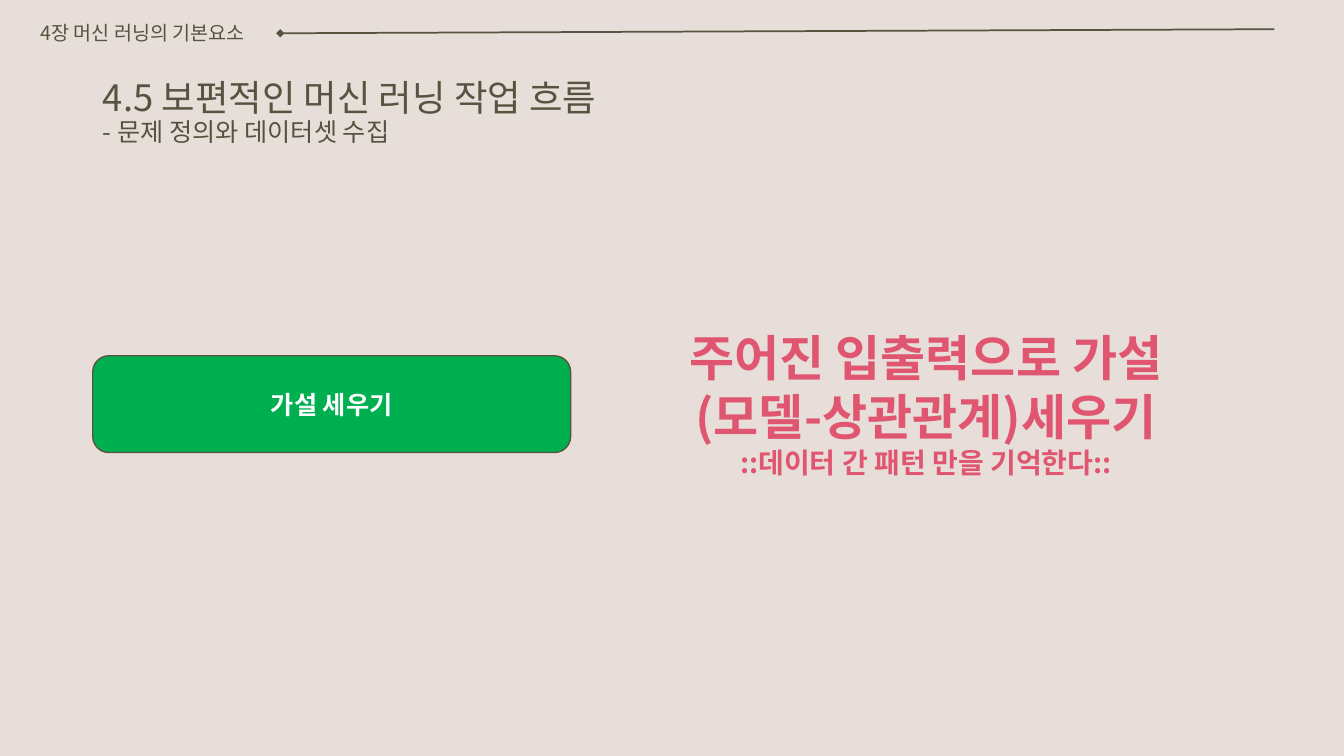
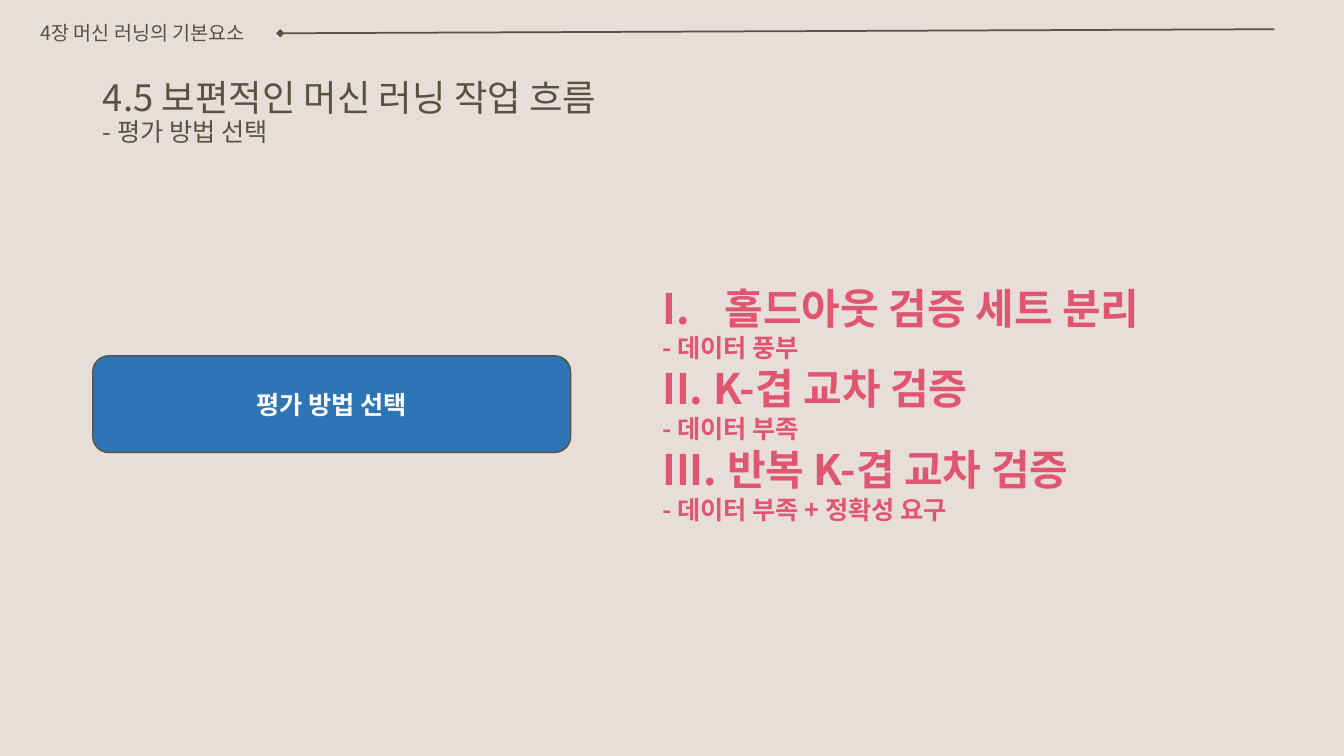
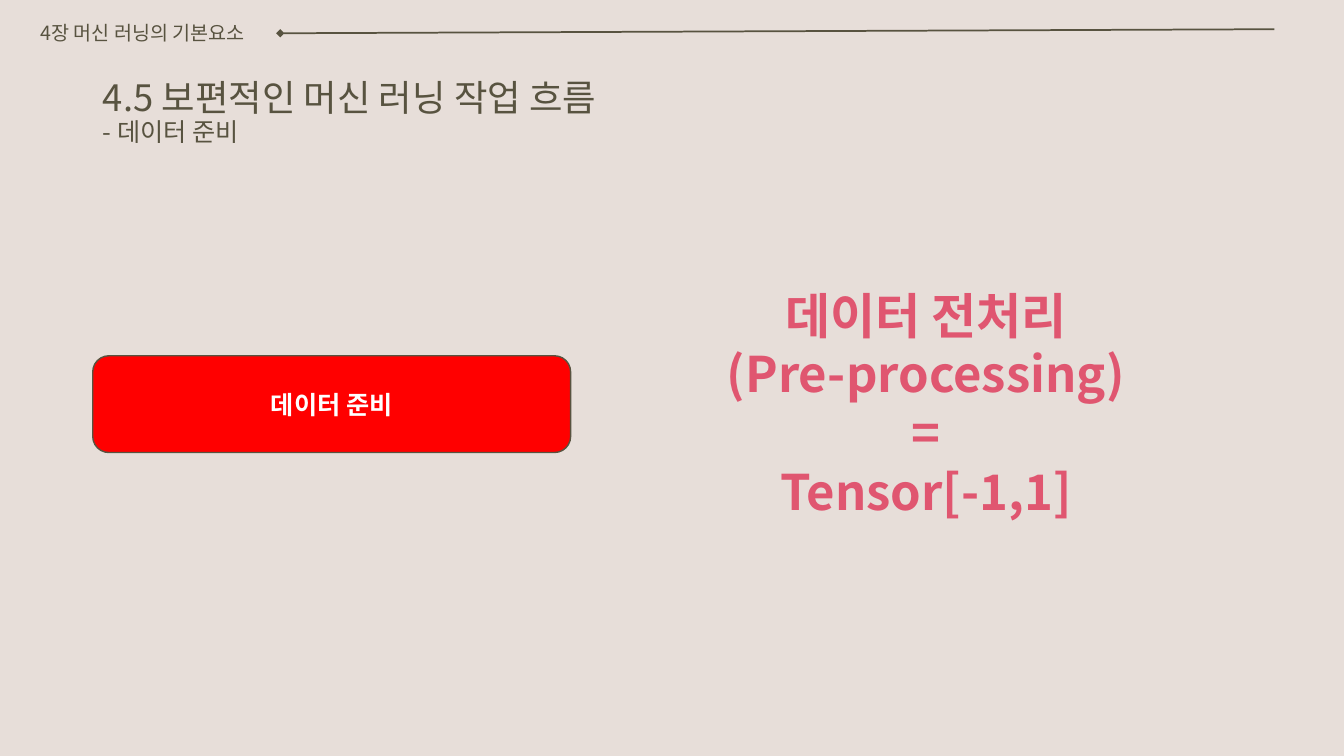
from dataclasses import dataclass

from lxml.etree import SubElement
from pptx import Presentation
from pptx.dml.color import RGBColor
from pptx.enum.shapes import MSO_CONNECTOR, MSO_SHAPE
from pptx.enum.text import MSO_ANCHOR, MSO_AUTO_SIZE, PP_ALIGN
from pptx.oxml import parse_xml
from pptx.oxml.ns import nsdecls, qn
from pptx.util import Inches, Pt


@dataclass(frozen=True)
class Theme:
    font: str = "Noto Sans CJK KR"
    background: RGBColor = RGBColor(0xE7, 0xDE, 0xD9)
    ink: RGBColor = RGBColor(0x58, 0x53, 0x40)
    accent: RGBColor = RGBColor(0xE0, 0x56, 0x70)
    white: RGBColor = RGBColor(0xFF, 0xFF, 0xFF)
    green: RGBColor = RGBColor(0x00, 0xB0, 0x50)
    blue: RGBColor = RGBColor(0x2E, 0x75, 0xB6)
    red: RGBColor = RGBColor(0xFF, 0x00, 0x00)
    chapter_size: int = 14
    title_size: int = 26
    label_size: int = 18
    statement_size: int = 35
    remark_size: int = 20
    method_size: int = 30


THEME = Theme()
CHAPTER = "4장 머신 러닝의 기본요소"
SECTION = "4.5 보편적인 머신 러닝 작업 흐름"

# subtitle, step label, step colour, answer top, answer height, alignment, answer lines
STEPS = [
    ("문제 정의와 데이터셋 수집", "가설 세우기", THEME.green, 3.2, 1.62, PP_ALIGN.CENTER, [
        ("주어진 입출력으로 가설(모델-상관관계)세우기", THEME.statement_size),
        ("::데이터 간 패턴 만을 기억한다::", THEME.remark_size),
    ]),
    ("평가 방법 선택", "평가 방법 선택", THEME.blue, 2.75, 2.52, PP_ALIGN.LEFT, [
        ("홀드아웃 검증 세트 분리", THEME.method_size),
        ("- 데이터 풍부", THEME.label_size),
        ("II. K-겹 교차 검증", THEME.method_size),
        ("- 데이터 부족", THEME.label_size),
        ("III. 반복 K-겹 교차 검증", THEME.method_size),
        ("- 데이터 부족 + 정확성 요구", THEME.label_size),
    ]),
    ("데이터 준비", "데이터 준비", THEME.red, 2.78, 2.46, PP_ALIGN.CENTER, [
        (text, THEME.statement_size)
        for text in ("데이터 전처리", "(Pre-processing)", "=", "Tensor[-1,1]")
    ]),
]


def style(para, size, color, bold=False, align=PP_ALIGN.LEFT):
    """Format a paragraph, using the theme font for Latin and Korean alike."""
    para.alignment = align
    font = para.font
    font.size, font.bold, font.name = Pt(size), bold, THEME.font
    font.color.rgb = color
    SubElement(font._element, qn("a:ea"), typeface=THEME.font)


def number_first(para):
    """Give a paragraph an automatic Roman numeral with a hanging indent."""
    properties = para._p.get_or_add_pPr()
    properties.set("marL", str(Inches(0.62)))
    properties.set("indent", str(-Inches(0.62)))
    properties.insert(0, parse_xml(f'<a:buAutoNum {nsdecls("a")} type="romanUcPeriod"/>'))


deck = Presentation()
deck.slide_width, deck.slide_height = Inches(13.33), Inches(7.5)
background = deck.slide_master.background.fill
background.solid()
background.fore_color.rgb = THEME.background
title_only = deck.slide_layouts[5]

for subtitle, label, color, top, height, align, lines in STEPS:
    page = deck.slides.add_slide(title_only)

    title = page.shapes.title
    title.left, title.top = Inches(0.92), Inches(0.4)
    title.width, title.height = Inches(11.5), Inches(1.45)
    title.text_frame.vertical_anchor = MSO_ANCHOR.MIDDLE
    para = title.text_frame.paragraphs[0]
    para.line_spacing = 0.9
    para.add_run().text = SECTION
    para.add_line_break()
    span = para.add_run()
    span.text = f"- {subtitle}"
    span.font.size = Pt(THEME.label_size)
    style(para, THEME.title_size, THEME.ink)

    rule = page.shapes.add_connector(
        MSO_CONNECTOR.STRAIGHT, Inches(2.78), Inches(0.33), Inches(12.64), Inches(0.29))
    rule.line.color.rgb = THEME.ink
    rule.line.width = Pt(1.25)
    SubElement(rule.line._get_or_add_ln(), qn("a:headEnd"), type="diamond")
    SubElement(rule._element.spPr, qn("a:effectLst"))

    chapter = page.shapes.add_textbox(Inches(0.3), Inches(0.16), Inches(2.48), Inches(0.34))
    chapter.text_frame.word_wrap = False
    chapter.text_frame.auto_size = MSO_AUTO_SIZE.SHAPE_TO_FIT_TEXT
    chapter.text_frame.text = CHAPTER
    style(chapter.text_frame.paragraphs[0], THEME.chapter_size, THEME.ink)

    step = page.shapes.add_shape(
        MSO_SHAPE.ROUNDED_RECTANGLE, Inches(0.92), Inches(3.53), Inches(4.74), Inches(0.96))
    step.shadow.inherit = False
    step.fill.solid()
    step.fill.fore_color.rgb = color
    step.line.color.rgb = THEME.ink
    step.line.width = Pt(1)
    step.text_frame.vertical_anchor = MSO_ANCHOR.MIDDLE
    step.text_frame.text = label
    style(step.text_frame.paragraphs[0], THEME.label_size, THEME.white, True, PP_ALIGN.CENTER)

    answer = page.shapes.add_textbox(Inches(6.47), Inches(top), Inches(5.43), Inches(height))
    answer.text_frame.word_wrap = True
    answer.text_frame.auto_size = MSO_AUTO_SIZE.SHAPE_TO_FIT_TEXT
    answer.text_frame.text = "\n".join(text for text, size in lines)
    for para, (text, size) in zip(answer.text_frame.paragraphs, lines):
        style(para, size, THEME.accent, True, align)
    if align == PP_ALIGN.LEFT:
        number_first(answer.text_frame.paragraphs[0])

deck.save("out.pptx")
